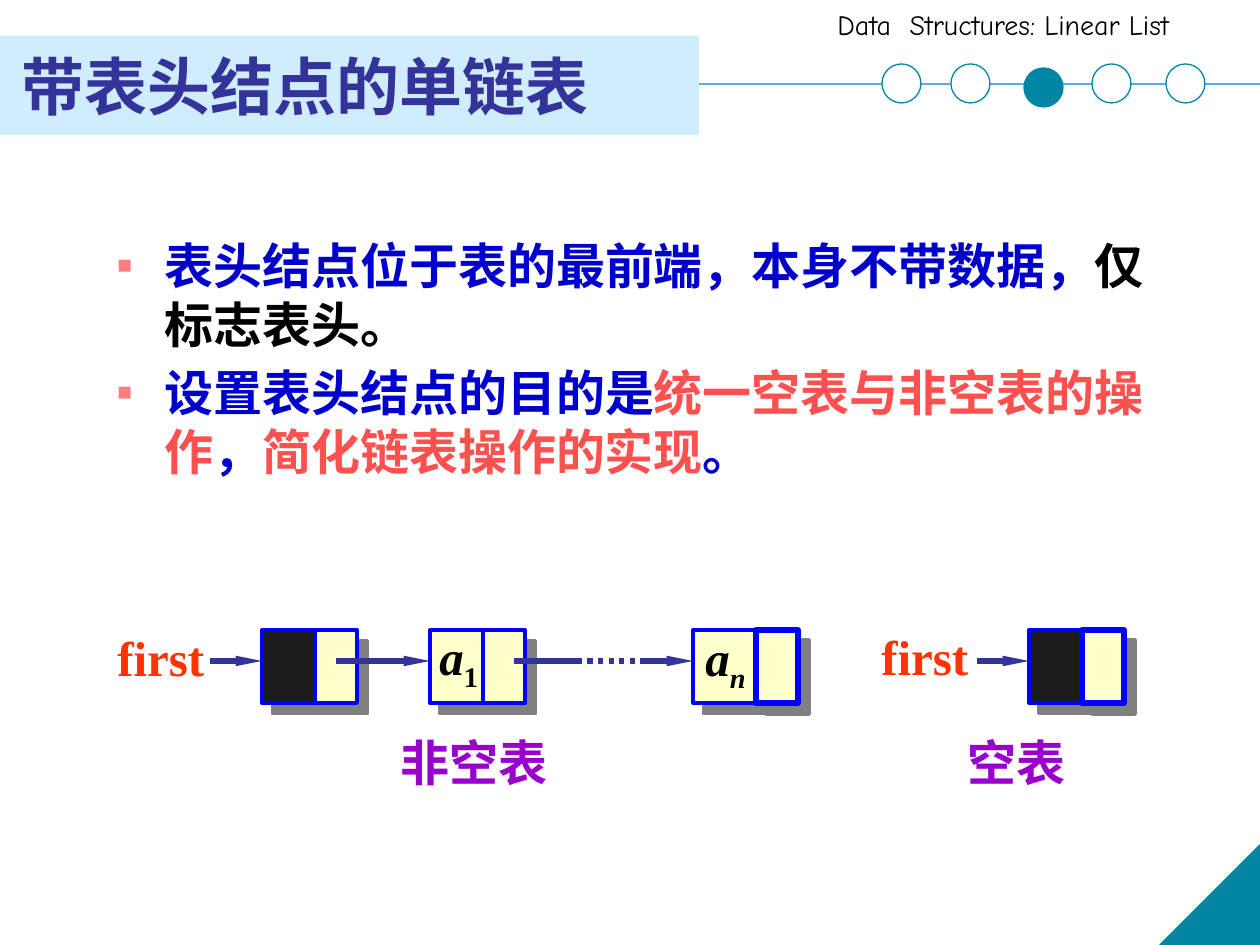
"""Build the slide on singly linked lists with a header node."""
import pptx
import pptx.dml.color
import pptx.enum.dml
import pptx.enum.shapes
import pptx.enum.text
import pptx.oxml
import pptx.oxml.ns
import pptx.util

RGB = pptx.dml.color.RGBColor
SHAPE = pptx.enum.shapes.MSO_SHAPE
BLACK, WHITE = RGB(0, 0, 0), RGB(255, 255, 255)
TEAL, SKY, BAND = RGB(0, 0x85, 0xA4), RGB(0x5A, 0xAA, 0xED), RGB(0xCF, 0xED, 0xFE)
INDIGO, BLUE, CORAL = RGB(0x33, 0x33, 0x99), RGB(0, 0, 0xCC), RGB(0xFF, 0x50, 0x50)
PURPLE, ORANGE = RGB(0x99, 0, 0xCC), RGB(0xFF, 0x33, 0)
DARK, CREAM, EDGE = RGB(0x1C, 0x1C, 0x1C), RGB(0xFF, 0xFF, 0xCC), RGB(0, 0, 255)
SERIF, CJK, COMIC = "Times New Roman", "Noto Sans CJK SC", "Comic Neue"
PX = 914400 / 126

TITLE = "带表头结点的单链表"
HEADER = "Data  Structures: Linear List"
POINTS = [
    [("表头结点位于表的最前端，本身不带数据，", BLUE), ("仅标志表头。", BLACK)],
    [("设置表头结点的目的是", BLUE), ("统一空表与非空表的操作", CORAL), ("，", BLUE),
     ("简化链表操作的实现", CORAL), ("。", BLUE)],
]
DOTS = [(882, 64, WHITE), (951, 64, WHITE), (1024, 68, TEAL), (1092, 64, WHITE), (1166, 64, WHITE)]
NODES = [(262, 53, DARK, 2.25), (430, 53, CREAM, 2.25), (693, 63, CREAM, 3), (1029, 53, DARK, 3)]
LINKS = [(210, 262, "arrow"), (336, 430, "arrow"), (514, 577, "plain"),
         (577, 640, "dotted"), (640, 693, "arrow"), (977, 1029, "arrow")]
ELEMENTS = [("a", "1", 427, 620, 77), ("a", "n", 693, 621, 72)]
POINTERS = [("first", 105, 621), ("first", 869, 620)]
CAPTIONS = [("非空表", 388, 180), ("空表", 955, 130)]
NODE_TOP, NODE_HEIGHT, LINK_WIDTH, LINK_Y = 630, 73, 42, 661

BULLET = ('<a:buClr {ns}><a:srgbClr val="FF7C80"/></a:buClr>',
          '<a:buSzPct {ns} val="50000"/>', '<a:buFont {ns} typeface="Arial"/>',
          '<a:buChar {ns} char="■"/>')
SHADOW = ('<a:effectLst {ns}><a:outerShdw dist="107950" dir="2700000" algn="ctr" rotWithShape="0">'
          '<a:srgbClr val="808080"/></a:outerShdw></a:effectLst>')


def px(*lengths):
    return [round(length * PX) for length in lengths]


def add_xml(parent, xml):
    parent.append(pptx.oxml.parse_xml(xml.format(ns=pptx.oxml.ns.nsdecls("a"))))


def style(run, size, color, font=SERIF, bold=True, italic=False):
    run.font.size, run.font.name = pptx.util.Pt(size), font
    run.font.bold, run.font.italic = bold, italic
    run.font.color.rgb = color
    add_xml(run.font._element, f'<a:ea {{ns}} typeface="{CJK}"/>')


def add_box(slide, area, wrap=True):
    frame = slide.shapes.add_textbox(*px(*area)).text_frame
    frame.word_wrap = wrap
    return frame


def add_label(slide, text, area, size, color, font=SERIF, bold=True):
    frame = add_box(slide, area, wrap=False)
    frame.text = text
    style(frame.paragraphs[0].runs[0], size, color, font, bold)


def add_block(slide, kind, area, fill, edge=None, weight=0.75):
    block = slide.shapes.add_shape(kind, *px(*area))
    block.shadow.inherit = False
    block.fill.solid()
    block.fill.fore_color.rgb = fill
    if edge is None:
        block.line.fill.background()
    else:
        block.line.color.rgb = edge
        block.line.width = pptx.util.Pt(weight)
    return block


def add_line(slide, start, end, y, color, weight, kind="plain"):
    line = slide.shapes.add_connector(pptx.enum.shapes.MSO_CONNECTOR.STRAIGHT, *px(start, y, end, y))
    line.line.color.rgb = color
    line.line.width = pptx.util.Pt(weight)
    if kind == "dotted":
        line.line.dash_style = pptx.enum.dml.MSO_LINE.ROUND_DOT
    elif kind == "arrow":
        add_xml(line.line._get_or_add_ln(), '<a:tailEnd {ns} type="triangle" w="sm" len="lg"/>')
    add_xml(line._element.spPr, '<a:effectLst {ns}/>')


def add_header(slide):
    add_line(slide, 0, 1260, 84, SKY, 1)
    corner = add_block(slide, SHAPE.RIGHT_TRIANGLE, (1160, 845, 100, 100), TEAL, TEAL)
    corner._element.spPr.xfrm.set("flipH", "1")
    add_label(slide, HEADER, (825, 1, 435, 47), 16, BLACK, COMIC, bold=False)
    add_block(slide, SHAPE.RECTANGLE, (0, 36, 699, 99), BAND)
    for left, top, fill in DOTS:
        add_block(slide, SHAPE.OVAL, (left, top, 39, 39), fill, TEAL)
    title = slide.shapes.title
    title.left, title.top, title.width, title.height = px(9, 24, 683, 105)
    frame = title.text_frame
    frame.text = TITLE
    frame.auto_size = pptx.enum.text.MSO_AUTO_SIZE.NONE
    frame.vertical_anchor = pptx.enum.text.MSO_ANCHOR.BOTTOM
    frame.paragraphs[0].alignment = pptx.enum.text.PP_ALIGN.LEFT
    style(frame.paragraphs[0].runs[0], 36, INDIGO, CJK)
    title._element.getparent().append(title._element)


def add_points(slide):
    frame = add_box(slide, (105, 229, 1061, 336))
    for index, pieces in enumerate(POINTS):
        paragraph = frame.add_paragraph() if index else frame.paragraphs[0]
        properties = paragraph._p.get_or_add_pPr()
        properties.set("marL", "342900")
        properties.set("indent", "-342900")
        for part in BULLET:
            add_xml(properties, part)
        if index:
            paragraph.space_before = pptx.util.Pt(5.6)
        for text, color in pieces:
            run = paragraph.add_run()
            run.text = text
            style(run, 28, color)


def add_lists(slide):
    for left, width, fill, weight in NODES:
        cells = [(left, width, fill, 2.25), (left + width, LINK_WIDTH, CREAM, weight)]
        for x, cell_width, color, line_weight in cells:
            area = (x, NODE_TOP, cell_width, NODE_HEIGHT)
            cell = add_block(slide, SHAPE.RECTANGLE, area, color, EDGE, line_weight)
            cell._element.spPr.remove(cell._element.spPr.find(pptx.oxml.ns.qn("a:effectLst")))
            add_xml(cell._element.spPr, SHADOW)
    for start, end, kind in LINKS:
        add_line(slide, start, end, LINK_Y, INDIGO, 3, kind)
    for name, subscript, left, top, width in ELEMENTS:
        paragraph = add_box(slide, (left, top, width, 72)).paragraphs[0]
        for text in (name, subscript):
            run = paragraph.add_run()
            run.text = text
            style(run, 28, BLACK, italic=text.isalpha())
        run.font._element.set("baseline", "-25000")
    for text, left, top in POINTERS:
        add_label(slide, text, (left, top, 113, 72), 28, ORANGE)
    for text, left, width in CAPTIONS:
        add_label(slide, text, (left, 726, width, 76), 28, PURPLE)


def main():
    deck = pptx.Presentation()
    deck.slide_width, deck.slide_height = px(1260, 945)
    slide = deck.slides.add_slide(deck.slide_layouts[5])
    add_header(slide)
    add_points(slide)
    add_lists(slide)
    deck.save("out.pptx")


if __name__ == "__main__":
    main()
